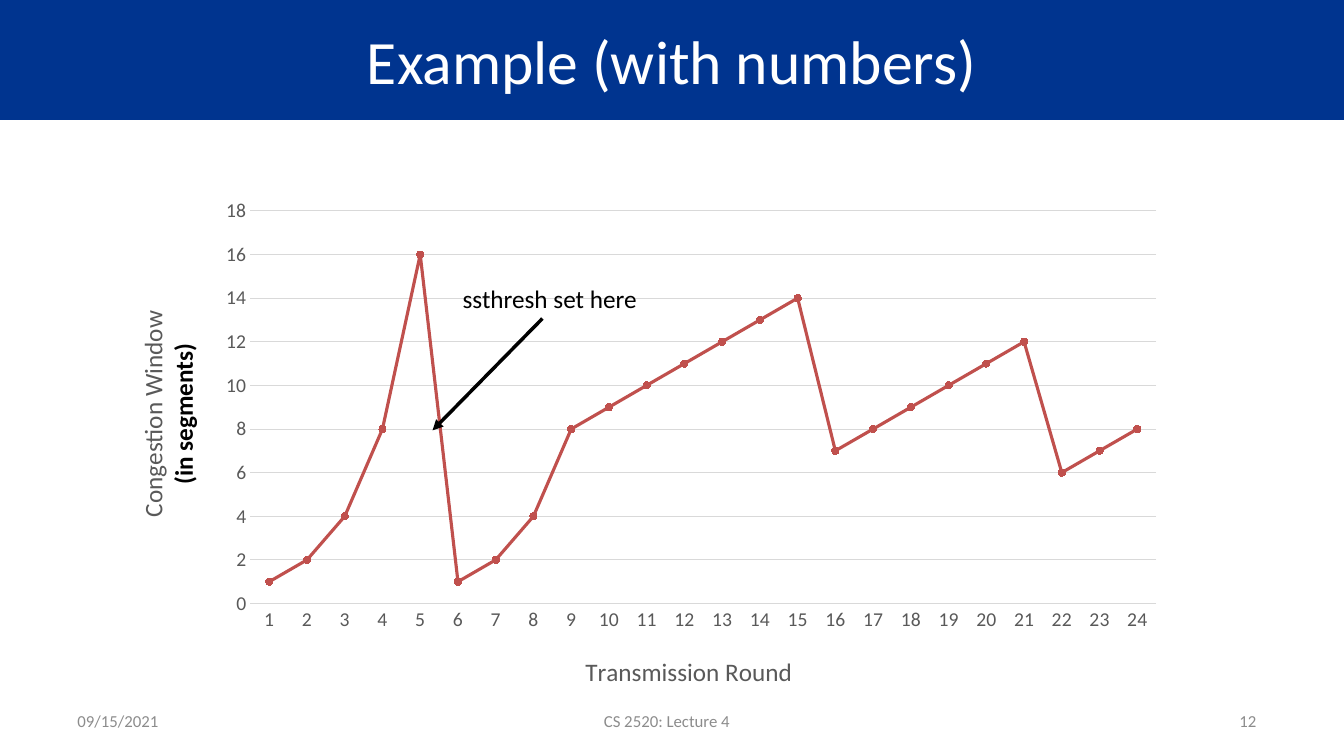
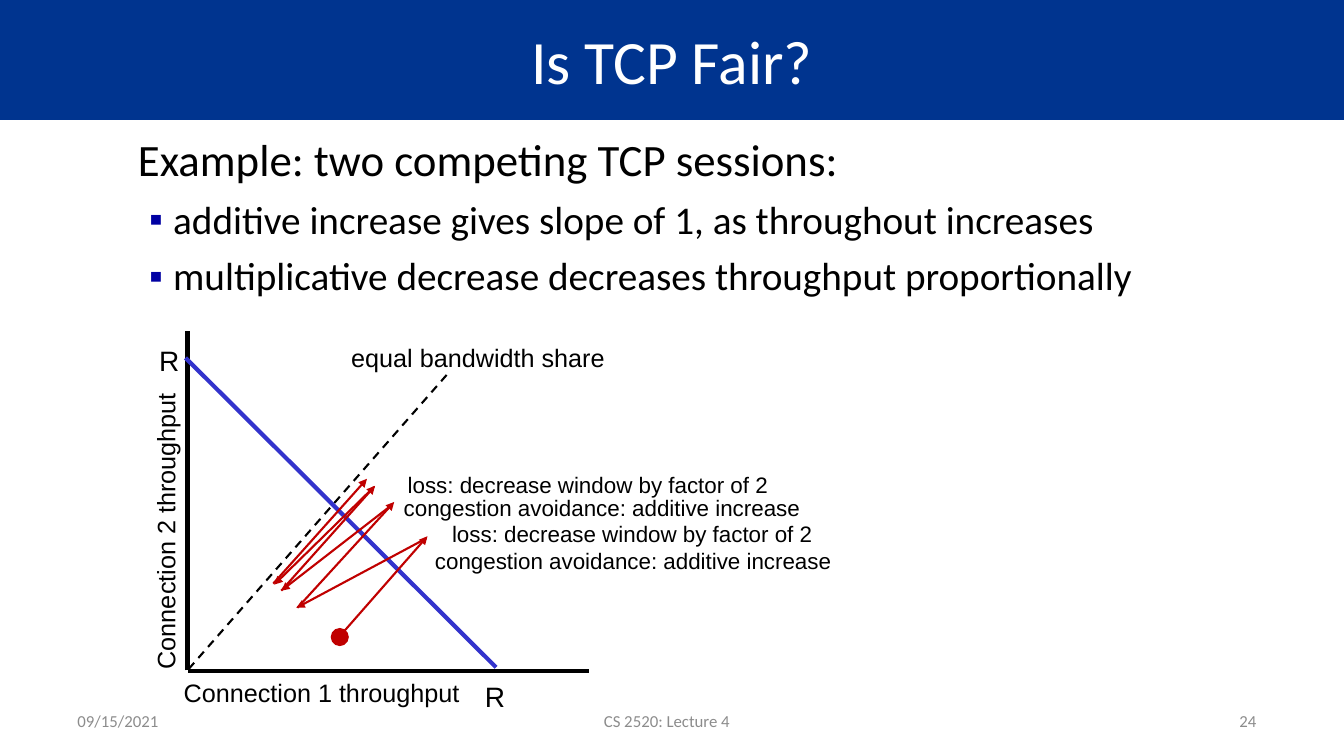
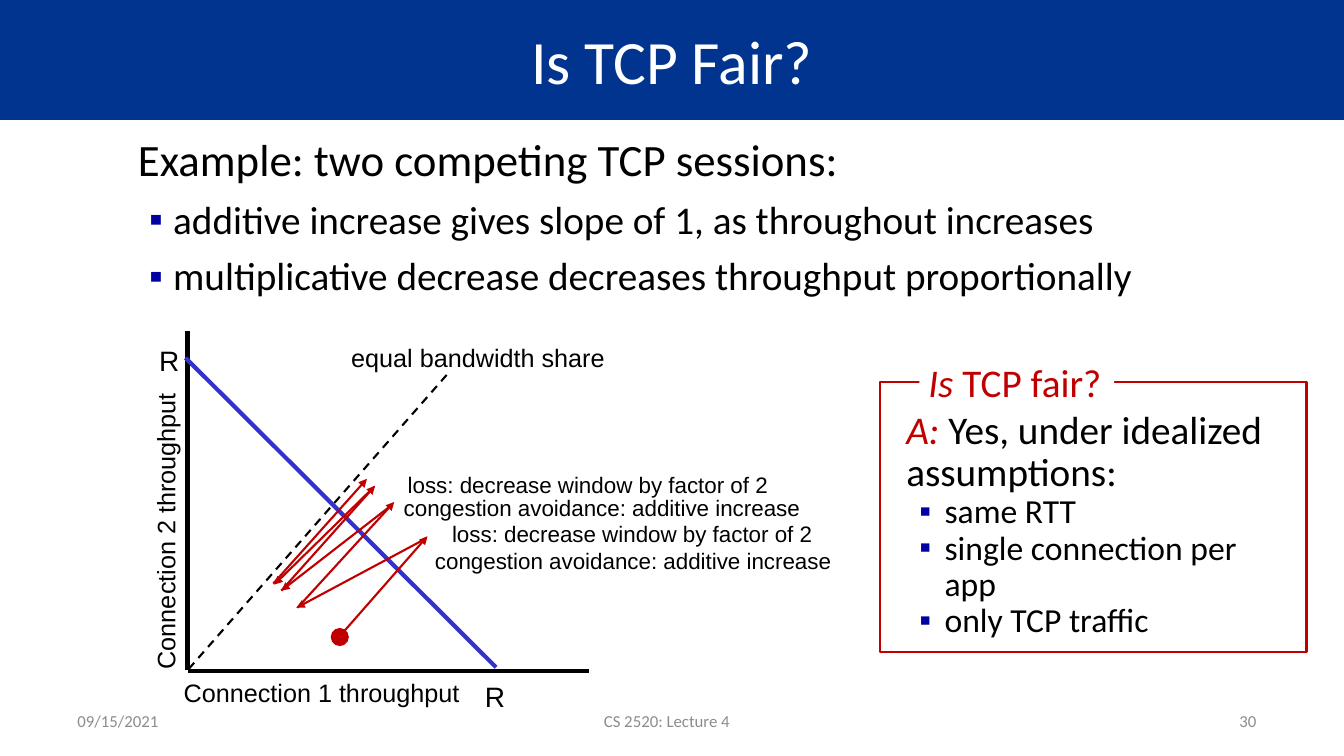
from lxml.etree import SubElement
from pptx import Presentation
from pptx.chart.data import CategoryChartData
from pptx.dml.color import RGBColor
from pptx.enum.chart import XL_CHART_TYPE, XL_MARKER_STYLE, XL_TICK_MARK
from pptx.enum.dml import MSO_LINE
from pptx.enum.shapes import MSO_CONNECTOR, MSO_SHAPE
from pptx.enum.text import MSO_ANCHOR, PP_ALIGN
from pptx.oxml import parse_xml
from pptx.oxml.ns import nsdecls, qn
from pptx.util import Emu, Pt

PX = 9144
WIDTH, HEIGHT = 1333, 750

NAVY = RGBColor(0x00, 0x34, 0x8F)
WHITE = RGBColor(0xFF, 0xFF, 0xFF)
BLACK = RGBColor(0x00, 0x00, 0x00)
GRAY = RGBColor(0x8C, 0x8C, 0x8C)
AXIS_GRAY = RGBColor(0x59, 0x59, 0x59)
GRID_GRAY = RGBColor(0xD9, 0xD9, 0xD9)
BLUE = RGBColor(0x33, 0x33, 0xCC)
BULLET_BLUE = RGBColor(0x00, 0x00, 0xA3)
RED = RGBColor(0xC0, 0x00, 0x00)
SERIES_RED = RGBColor(0xC0, 0x50, 0x4D)

LEFT, CENTER, RIGHT = PP_ALIGN.LEFT, PP_ALIGN.CENTER, PP_ALIGN.RIGHT
CONGESTION_WINDOW = [1, 2, 4, 8, 16, 1, 2, 4, 8, 9, 10, 11,
                     12, 13, 14, 7, 8, 9, 10, 11, 12, 6, 7, 8]
INCREASE = "congestion avoidance: additive increase"
LOSS = "loss: decrease window by factor of 2"


def px(*lengths):
    """Turn px lengths into EMU."""
    return [Emu(n * PX) for n in lengths]


def add_run(p, text, size, color=BLACK, font="Calibri", bold=False, italic=False):
    """Add one formatted run to a paragraph."""
    r = p.add_run()
    r.text = text
    r.font.size = Pt(size)
    r.font.name = font
    r.font.bold = bold
    r.font.italic = italic
    r.font.color.rgb = color


def next_paragraph(tf, align=LEFT, spacing=None, before=0):
    """Return the empty first paragraph or a new one, spaced and aligned."""
    first = tf.paragraphs[0]
    p = tf.add_paragraph() if first.runs else first
    p.alignment = align
    if spacing:
        p.line_spacing = spacing
    if before:
        p.space_before = Pt(before)
    return p


def indent(p, margin, hanging, bullet=False):
    """Set a hanging indent in px, with a square bullet if wanted."""
    pPr = p._p.get_or_add_pPr()
    pPr.set("marL", str(margin * PX))
    pPr.set("indent", str(-hanging * PX))
    if bullet:
        color = SubElement(pPr, qn("a:buClr"))
        SubElement(color, qn("a:srgbClr")).set("val", str(BULLET_BLUE))
        SubElement(pPr, qn("a:buFont")).set("typeface", "Arial")
        SubElement(pPr, qn("a:buChar")).set("char", "▪")


def add_box(s, box, wrap=True, anchor=MSO_ANCHOR.TOP):
    """Add an empty text box and return its text frame."""
    tf = s.shapes.add_textbox(*px(*box)).text_frame
    tf.word_wrap = wrap
    tf.vertical_anchor = anchor
    return tf


def add_label(s, box, text, size=18, font="Arial", align=CENTER, rotation=0):
    """Add a one-line label."""
    sp = s.shapes.add_textbox(*px(*box))
    sp.rotation = rotation
    sp.text_frame.word_wrap = False
    add_run(next_paragraph(sp.text_frame, align), text, size, font=font)


def add_preset(s, kind, box, fill=None, line=None, weight=1.75):
    """Add a preset shape with a plain fill and outline."""
    sp = s.shapes.add_shape(kind, *px(*box))
    sp.shadow.inherit = False
    if fill is None:
        sp.fill.background()
    else:
        sp.fill.solid()
        sp.fill.fore_color.rgb = fill
    if line is None:
        sp.line.fill.background()
    else:
        sp.line.color.rgb = line
        sp.line.width = Pt(weight)
    return sp


def add_line(s, start, end, color=BLACK, weight=3, arrow=False, dash=None):
    """Add a straight line, with an arrowhead at its end if wanted."""
    sp = s.shapes.add_connector(MSO_CONNECTOR.STRAIGHT, *px(*start, *end))
    sp.line.color.rgb = color
    sp.line.width = Pt(weight)
    if dash:
        sp.line.dash_style = dash
    if arrow:
        SubElement(sp.line._get_or_add_ln(), qn("a:tailEnd")).set("type", "triangle")
    SubElement(sp._element.spPr, qn("a:effectLst"))


def add_slide(prs, title, number):
    """Add a slide with the title band and the footer."""
    s = prs.slides.add_slide(prs.slide_layouts[6])
    band = add_preset(s, MSO_SHAPE.RECTANGLE, (0, 0, WIDTH, 119), NAVY)
    band.text_frame.vertical_anchor = MSO_ANCHOR.MIDDLE
    add_run(next_paragraph(band.text_frame, CENTER), title, 44, WHITE)
    footer = [(67, 164, "09/15/2021", LEFT),
              (205, 913, "CS 2520: Lecture 4", CENTER),
              (1117, 139, str(number), RIGHT)]
    for left, width, text, align in footer:
        tf = add_box(s, (left, 695, width, 40), anchor=MSO_ANCHOR.MIDDLE)
        add_run(next_paragraph(tf, align), text, 12, GRAY)
    return s


def place(element, index, **values):
    """Give a chart part a manual layout in fractions of the chart."""
    old = element.find(qn("c:layout"))
    if old is not None:
        element.remove(old)
    target = '<c:layoutTarget val="inner"/>' if "w" in values else ""
    sides = "".join(f'<c:{k} val="{v}"/>' for k, v in values.items())
    element.insert(index, parse_xml(
        f'<c:layout {nsdecls("c")}><c:manualLayout>{target}<c:xMode val="edge"/>'
        f'<c:yMode val="edge"/>{sides}</c:manualLayout></c:layout>'))


def style_axis(axis, title_lines, x, y):
    """Style an axis and place its title."""
    axis.major_tick_mark = axis.minor_tick_mark = XL_TICK_MARK.NONE
    font = axis.tick_labels.font
    font.size, font.name, font.color.rgb = Pt(14), "Calibri", AXIS_GRAY
    title = axis.axis_title
    for text, color, bold in title_lines:
        add_run(next_paragraph(title.text_frame, CENTER), text, 18, color, bold=bold)
    place(title._element, 1, x=x, y=y)


def add_window_chart(s):
    """Add the line chart of the congestion window."""
    data = CategoryChartData()
    data.categories = [str(n + 1) for n in range(len(CONGESTION_WINDOW))]
    data.add_series("Series 1", CONGESTION_WINDOW)
    chart = s.shapes.add_chart(XL_CHART_TYPE.LINE_MARKERS_STACKED,
                               *px(111, 189, 1057, 506), data).chart
    chart.has_legend = chart.has_title = False
    chart.font.size, chart.font.name = Pt(10), "Calibri"
    chart.font.color.rgb = BLACK
    place(chart._chartSpace.chart.plotArea, 0, x=0.13, y=0.04, w=0.85, h=0.77)

    rounds, window = chart.category_axis, chart.value_axis
    style_axis(rounds, [("Transmission Round", AXIS_GRAY, False)], 0.44, 0.9)
    rounds.format.line.color.rgb = GRID_GRAY
    rounds.format.line.width = Pt(0.75)
    style_axis(window, [("Congestion Window", AXIS_GRAY, False),
                        ("(in segments)", BLACK, True)], 0.02, 0.23)
    window.axis_title.text_frame._txBody.bodyPr.set("rot", "-5400000")
    window.minimum_scale, window.maximum_scale, window.major_unit = 0, 18, 2
    window.format.line.fill.background()
    window.major_gridlines.format.line.color.rgb = GRID_GRAY
    window.major_gridlines.format.line.width = Pt(0.75)

    plot = chart.plots[0]
    plot.vary_by_categories = False
    series = plot.series[0]
    series.smooth = False
    series.format.line.color.rgb = SERIES_RED
    series.format.line.width = Pt(2.25)
    series.marker.style, series.marker.size = XL_MARKER_STYLE.CIRCLE, 5
    series.marker.format.fill.solid()
    series.marker.format.fill.fore_color.rgb = SERIES_RED
    series.marker.format.line.color.rgb = SERIES_RED


def add_sessions_text(s):
    """Add the opening statement with its two bullets."""
    tf = add_box(s, (112, 132, 1164, 180))
    p = next_paragraph(tf, spacing=0.9)
    indent(p, 39, 24)
    add_run(p, "Example: two competing TCP sessions:", 32)
    for text in ("additive increase gives slope of 1, as throughout increases",
                 "multiplicative decrease decreases throughput proportionally"):
        p = next_paragraph(tf, spacing=0.9, before=10)
        indent(p, 50, 24, bullet=True)
        add_run(p, text, 28)


def add_throughput_diagram(s):
    """Add the diagram of two sessions moving towards an equal share."""
    add_line(s, (186, 666), (584, 666))
    add_line(s, (186, 665), (186, 328))
    add_line(s, (443, 372), (186, 665), weight=1.5, dash=MSO_LINE.DASH)
    add_line(s, (184, 355), (492, 662), BLUE)
    for left, top in ((146, 336), (469, 669)):
        add_label(s, (left, top, 44, 43), "R", 20)
    add_label(s, (280, 335, 388, 40), "equal bandwidth share")
    add_label(s, (125, 667, 388, 40), "Connection 1 throughput")
    add_label(s, (-30, 507, 388, 40), "Connection 2 throughput", rotation=270)
    steps = [((331, 638), (424, 532)), ((423, 534), (294, 603)),
             ((295, 603), (391, 498)), ((386, 503), (279, 586)),
             ((279, 586), (372, 482)), ((371, 483), (272, 580)),
             ((271, 579), (364, 475))]
    for start, end in steps:
        add_line(s, start, end, RED, 1.5, arrow=True)
    for left, top, width, text in ((380, 538, 496, INCREASE), (438, 511, 378, LOSS),
                                   (349, 485, 496, INCREASE), (394, 462, 378, LOSS)):
        add_label(s, (left, top, width, 37), text, 16)
    add_preset(s, MSO_SHAPE.OVAL, (328, 623, 18, 18), RED)


def add_answer(s):
    """Add the framed answer with its heading set into the frame."""
    add_preset(s, MSO_SHAPE.RECTANGLE, (873, 379, 423, 268), line=RED)
    add_preset(s, MSO_SHAPE.RECTANGLE, (912, 364, 193, 28), WHITE)
    p = next_paragraph(add_box(s, (911, 351, 193, 57), wrap=False))
    add_run(p, "Is", 28, RED, italic=True)
    add_run(p, " TCP fair?", 28, RED)
    tf = add_box(s, (889, 402, 405, 240))
    p = next_paragraph(tf, spacing=0.9)
    add_run(p, "A: ", 28, RED, italic=True)
    add_run(p, "Yes, under idealized assumptions:", 28)
    for text in ("same RTT", "single connection per app", "only TCP traffic"):
        p = next_paragraph(tf, spacing=0.9)
        indent(p, 38, 25, bullet=True)
        add_run(p, text, 24)


def add_fairness_slide(prs, number):
    """Add a fairness slide with its text and diagram."""
    s = add_slide(prs, "Is TCP Fair?", number)
    add_sessions_text(s)
    add_throughput_diagram(s)
    return s


def main():
    """Build and save the slides."""
    prs = Presentation()
    prs.slide_width, prs.slide_height = px(WIDTH, HEIGHT)

    s = add_slide(prs, "Example (with numbers)", 12)
    add_window_chart(s)
    add_label(s, (449, 276, 247, 40), "ssthresh set here", font="Calibri", align=LEFT)
    add_line(s, (538, 316), (429, 427), weight=2.5, arrow=True)

    add_fairness_slide(prs, 24)
    add_answer(add_fairness_slide(prs, 30))
    prs.save("out.pptx")


if __name__ == "__main__":
    main()
